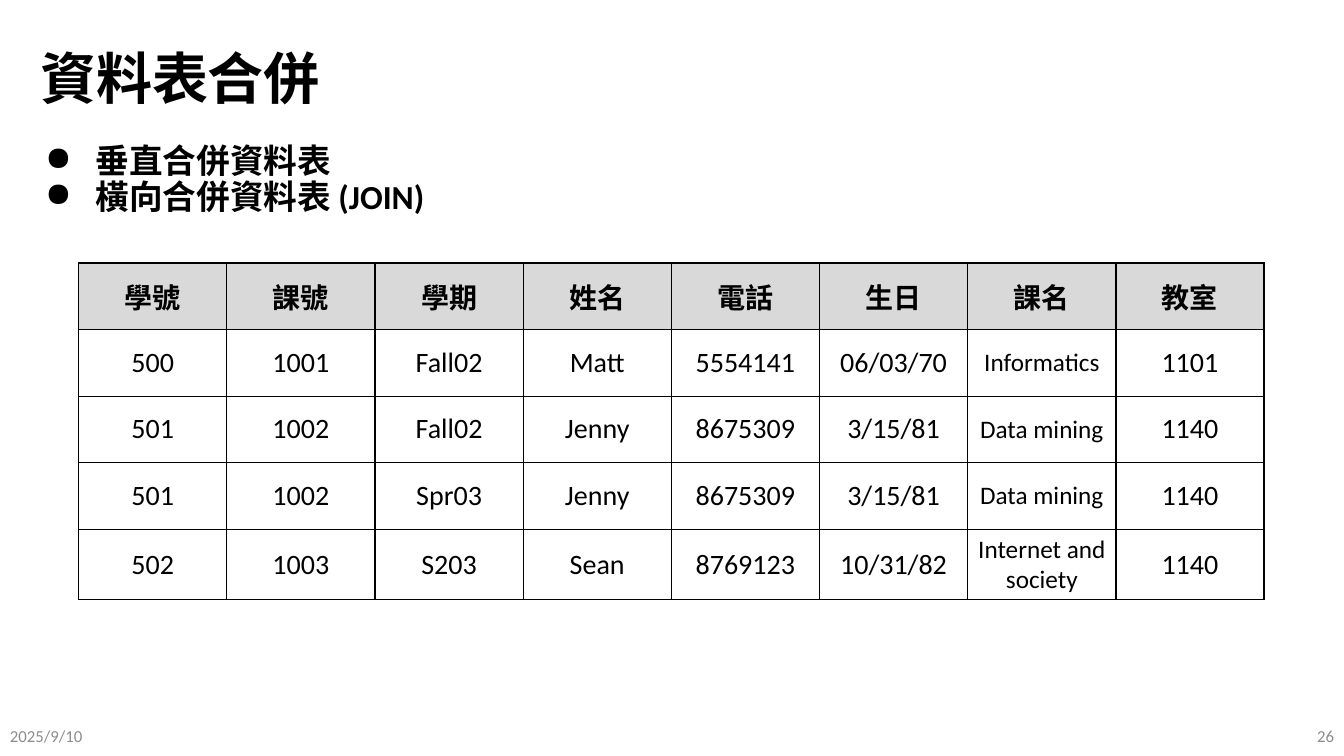
from dataclasses import dataclass

from lxml.etree import SubElement
from pptx import Presentation
from pptx.dml.color import RGBColor
from pptx.enum.text import MSO_ANCHOR, PP_ALIGN
from pptx.oxml.ns import qn
from pptx.slide import Slide
from pptx.table import _Cell
from pptx.text.text import _Paragraph
from pptx.util import Emu, Pt

EMU_PER_PX = 9144


@dataclass(frozen=True)
class Theme:
    """Colours, fonts and type sizes of the slide."""

    ink: str = "000000"
    muted: str = "8C8C8C"
    header_fill: str = "D9D9D9"
    cell_fill: str = "FFFFFF"
    font: str = "Calibri"
    chinese_font: str = "Noto Sans CJK SC"
    title_size: int = 40
    bullet_size: int = 24
    table_size: int = 20
    course_size: int = 18
    footer_size: int = 12
    border_points: int = 1


THEME = Theme()


@dataclass(frozen=True)
class TextBlock:
    """A text box measured in px."""

    left: int
    top: int
    width: int
    height: int
    text: str
    size: int
    color: str = THEME.ink
    bold: bool = False
    bulleted: bool = False
    anchor: MSO_ANCHOR = MSO_ANCHOR.MIDDLE
    align: PP_ALIGN = PP_ALIGN.LEFT
    line_spacing: float = 1.0


TEXT_BLOCKS = [
    TextBlock(30, 33, 1270, 95, "資料表合併", THEME.title_size, bold=True, line_spacing=0.9),
    TextBlock(30, 138, 1270, 529, "垂直合併資料表\n橫向合併資料表 (JOIN)", THEME.bullet_size,
              bold=True, bulleted=True, anchor=MSO_ANCHOR.TOP, line_spacing=0.9),
    TextBlock(0, 710, 300, 40, "2025/9/10", THEME.footer_size, THEME.muted),
    TextBlock(1033, 710, 300, 40, "26", THEME.footer_size, THEME.muted, align=PP_ALIGN.RIGHT),
]

COURSE_COLUMN = 6
TABLE_ROWS = [
    ["學號", "課號", "學期", "姓名", "電話", "生日", "課名", "教室"],
    ["500", "1001", "Fall02", "Matt", "5554141", "06/03/70", "Informatics", "1101"],
    ["501", "1002", "Fall02", "Jenny", "8675309", "3/15/81", "Data mining", "1140"],
    ["501", "1002", "Spr03", "Jenny", "8675309", "3/15/81", "Data mining", "1140"],
    ["502", "1003", "S203", "Sean", "8769123", "10/31/82", "Internet and society", "1140"],
]


def px(length: int) -> Emu:
    """Turn px into EMU."""
    return Emu(length * EMU_PER_PX)


def style_runs(paragraph: _Paragraph, size: int, color: str, bold: bool, name: str) -> None:
    """Format every run of a paragraph."""
    for run in paragraph.runs:
        run.font.name = name
        run.font.size = Pt(size)
        run.font.bold = bold
        run.font.color.rgb = RGBColor.from_string(color)
        SubElement(run.font._element, qn("a:ea"), typeface=THEME.chinese_font)


def add_bullet(paragraph: _Paragraph) -> None:
    """Give a paragraph a hanging round bullet."""
    properties = paragraph._p.get_or_add_pPr()
    properties.set("marL", str(px(55)))
    properties.set("indent", str(px(-50)))
    bullet_color = SubElement(properties, qn("a:buClr"))
    SubElement(bullet_color, qn("a:srgbClr"), val=THEME.ink)
    SubElement(properties, qn("a:buChar"), char="●")


def add_text_block(slide: Slide, block: TextBlock) -> None:
    """Draw one text box."""
    shape = slide.shapes.add_textbox(*map(px, (block.left, block.top, block.width, block.height)))
    text_frame = shape.text_frame
    text_frame.word_wrap = True
    text_frame.vertical_anchor = block.anchor
    text_frame.text = block.text
    for paragraph in text_frame.paragraphs:
        if block.bulleted:
            add_bullet(paragraph)
        paragraph.alignment = block.align
        paragraph.line_spacing = block.line_spacing
        style_runs(paragraph, block.size, block.color, block.bold, THEME.font)


def add_borders(cell: _Cell) -> None:
    """Outline the four sides of a cell."""
    properties = cell._tc.get_or_add_tcPr()
    for position, side in enumerate(("lnL", "lnR", "lnT", "lnB")):
        line = properties.makeelement(qn(f"a:{side}"), {"w": str(Pt(THEME.border_points))})
        fill = SubElement(line, qn("a:solidFill"))
        SubElement(fill, qn("a:srgbClr"), val=THEME.ink)
        properties.insert(position, line)


def fill_cell(cell: _Cell, text: str, is_header: bool, is_course: bool) -> None:
    """Write and format one table cell."""
    cell.text_frame.text = text
    cell.vertical_anchor = MSO_ANCHOR.MIDDLE
    cell.fill.solid()
    cell.fill.fore_color.rgb = RGBColor.from_string(
        THEME.header_fill if is_header else THEME.cell_fill)
    paragraph = cell.text_frame.paragraphs[0]
    paragraph.alignment = PP_ALIGN.CENTER
    size = THEME.course_size if is_course and not is_header else THEME.table_size
    name = THEME.chinese_font if is_header else THEME.font
    style_runs(paragraph, size, THEME.ink, is_header, name)
    add_borders(cell)


def add_course_table(slide: Slide) -> None:
    """Draw the joined table."""
    column_width, row_height = 147, 66
    row_count, column_count = len(TABLE_ROWS), len(TABLE_ROWS[0])
    table = slide.shapes.add_table(
        row_count, column_count, px(78), px(261),
        px(column_width * column_count), px(row_height * row_count)).table
    for row_index, texts in enumerate(TABLE_ROWS):
        for column_index, text in enumerate(texts):
            fill_cell(table.cell(row_index, column_index), text,
                      row_index == 0, column_index == COURSE_COLUMN)


def main() -> None:
    """Build and save the slide."""
    presentation = Presentation()
    presentation.slide_width, presentation.slide_height = px(1333), px(750)
    slide = presentation.slides.add_slide(presentation.slide_layouts[6])
    for block in TEXT_BLOCKS:
        add_text_block(slide, block)
    add_course_table(slide)
    presentation.save("out.pptx")


if __name__ == "__main__":
    main()
